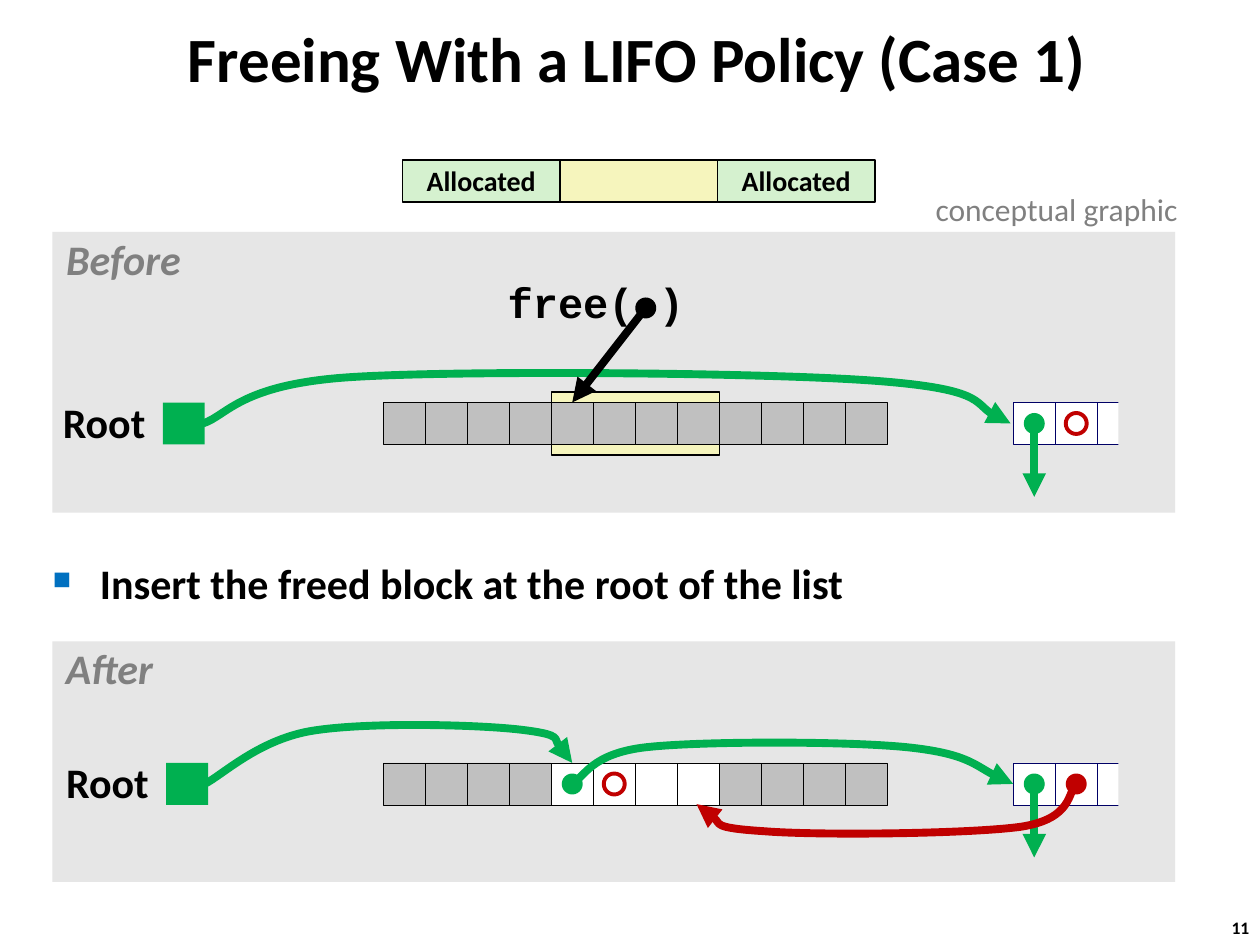
import pptx
import pptx.dml.color
import pptx.enum.shapes
import pptx.enum.text
import pptx.oxml
import pptx.oxml.ns
import pptx.util

Pt = pptx.util.Pt
ALIGN = pptx.enum.text.PP_ALIGN
ANCHOR = pptx.enum.text.MSO_ANCHOR
SHAPE = pptx.enum.shapes.MSO_SHAPE
STRAIGHT = pptx.enum.shapes.MSO_CONNECTOR.STRAIGHT
qn = pptx.oxml.ns.qn

BLACK, WHITE, GRAY, NAVY = "000000", "FFFFFF", "808080", "000066"
PANEL, USED, YELLOW, MINT = "E6E6E6", "C0C0C0", "F6F5BD", "D5F1CF"
GREEN, RED, BLUE = "00B050", "C00000", "0070C0"

CELL = 24                            # side of one memory word
DOT = 12                             # diameter of a pointer dot
HEAP_X, LIST_X = 189, 549            # from the left edge of a panel
FREED_X = HEAP_X + 4 * CELL
BOLD = {"name": "Calibri", "size": Pt(24), "bold": True}


def color(value):
    return pptx.dml.color.RGBColor.from_string(value)


def apply(target, values):
    for name, value in values.items():
        setattr(target, name, value)


def element(tag, **values):
    item = pptx.oxml.parse_xml(f"<a:{tag} {pptx.oxml.ns.nsdecls('a')}/>")
    for name, value in values.items():
        item.set(name, value)
    return item


def write(frame, text, font, hue, para_format, frame_format):
    apply(frame, frame_format)
    para = frame.paragraphs[0]
    apply(para, para_format)
    span = para.add_run()
    span.text = text
    apply(span.font, font)
    span.font.color.rgb = color(hue)
    return para


def add_label(page, box, text, font, hue=BLACK, inset=3.6, align=ALIGN.CENTER, spacing=0.9):
    label = page.shapes.add_textbox(*map(Pt, box))
    frame_format = {"word_wrap": False, "margin_left": Pt(inset), "margin_right": Pt(inset),
                    "margin_top": Pt(3.6), "margin_bottom": Pt(3.6)}
    return write(label.text_frame, text, font, hue,
                 {"alignment": align, "line_spacing": spacing}, frame_format)


def paint(shape, fill=None, line=None, width=0.25):
    shape.shadow.inherit = False
    if fill:
        shape.fill.solid()
        shape.fill.fore_color.rgb = color(fill)
    else:
        shape.fill.background()
    if line:
        shape.line.color.rgb = color(line)
        shape.line.width = Pt(width)
    else:
        shape.line.fill.background()
    return shape


def add_block(page, box, fill=None, line=None, width=0.25, kind=SHAPE.RECTANGLE):
    return paint(page.shapes.add_shape(kind, *map(Pt, box)), fill, line, width)


def add_dot(page, x, y, hue, hollow=False):
    """Pointer dot centred in the cell whose corner is x, y."""
    gap = (CELL - DOT) / 2
    box = (x + gap, y + gap, DOT, DOT)
    if hollow:
        add_block(page, box, None, hue, 2.25, SHAPE.OVAL)
    else:
        add_block(page, box, hue, kind=SHAPE.OVAL)


def add_head(shape):
    shape._element.spPr.find(qn("a:ln")).append(element("tailEnd", type="triangle"))


def add_arrow(page, start, end, hue):
    arrow = page.shapes.add_connector(STRAIGHT, *map(Pt, start + end))
    arrow.line.color.rgb = color(hue)
    arrow.line.width = Pt(4.5)
    add_head(arrow)
    arrow._element.spPr.append(element("effectLst"))


def add_curve(page, x, y, points, hue):
    """Arrow along cubic curves: a start, then two handles and an end for each."""
    placed = [(Pt(x + across), Pt(y + down)) for across, down in points]
    builder = page.shapes.build_freeform(*placed[0])
    builder.add_line_segments(placed[1:], close=False)
    curve = paint(builder.convert_to_shape(), None, hue, 4.5)
    lines = list(curve._element.iter(qn("a:lnTo")))
    for first in range(0, len(lines), 3):
        cubic = element("cubicBezTo")
        lines[first].addprevious(cubic)
        for line in lines[first:first + 3]:
            cubic.append(line[0])
            line.getparent().remove(line)
    add_head(curve)


def add_legend(page, box):
    left, top, width, height = box
    part = width / 3
    for index, (text, fill) in enumerate((("Allocated", MINT), ("", YELLOW), ("Allocated", MINT))):
        block = add_block(page, (left + index * part, top, part, height), fill, BLACK, 1)
        if text:
            write(block.text_frame, text, {**BOLD, "size": Pt(16)}, BLACK,
                  {"alignment": ALIGN.CENTER, "line_spacing": 0.98},
                  {"word_wrap": False, "vertical_anchor": ANCHOR.MIDDLE})


def add_panel(page, box, caption, caption_width, row, root_x, freed, previous_hollow):
    """Gray panel with root, heap and list; returns the left edge and row top."""
    left, top, width, height = box
    y = top + row
    add_block(page, box, PANEL)
    add_label(page, (left + 3.5, top + 0.5, caption_width, 34), caption, {**BOLD, "italic": True}, GRAY)
    # Root
    add_label(page, (left + root_x - 61, y - 4, 55, 34), "Root", BOLD)
    add_block(page, (left + root_x, y, CELL, CELL), GREEN)
    # Heap, with the block that is freed
    if not freed:
        add_block(page, (left + FREED_X, y - 6, 4 * CELL, 36), YELLOW, BLACK, 0.75)
    for index in range(12):
        fill = WHITE if freed and 4 <= index < 8 else USED
        add_block(page, (left + HEAP_X + index * CELL, y, CELL, CELL), fill, BLACK)
    # Free list, cut off at its right end
    for index in range(3):
        add_block(page, (left + LIST_X + index * CELL, y, CELL, CELL), WHITE, NAVY)
    add_block(page, (left + LIST_X + 2.5 * CELL, y - 6, CELL, 36), PANEL)
    add_dot(page, left + LIST_X, y, GREEN)
    middle = left + LIST_X + CELL / 2
    add_arrow(page, (middle, y + 12), (middle, y + 54), GREEN)
    add_dot(page, left + LIST_X + CELL, y, RED, previous_hollow)
    return left, y


def add_before(page, box):
    x, y = add_panel(page, box, "Before", 74, 97.5, 63, False, True)
    add_curve(page, x, y, [(86, 12), (100, 7.5), (107, -10.5), (171, -14.5), (234, -18.5),
                           (405.5, -17), (468, -12.5), (531, -8), (531, 7), (547.5, 12)], GREEN)
    # Call to free
    add_label(page, (x + 256, y - 72.5, 109, 34), "free( )", {**BOLD, "name": "Courier New"})
    add_dot(page, x + 327, y - 66, BLACK)
    add_arrow(page, (x + 339, y - 54), (x + 297, y), BLACK)


def add_after(page, box):
    x, y = add_panel(page, box, "After", 58, 69.5, 65, True, False)
    add_dot(page, x + FREED_X, y, GREEN)
    add_dot(page, x + FREED_X + CELL, y, RED, True)
    # Root to freed block, freed block to list, list back to freed block
    add_curve(page, x, y, [(87, 12), (97, 7), (117, -12.5), (146.5, -18), (176.5, -23.5),
                           (242, -22), (267.5, -19), (292.5, -16), (291, -4.5), (297, 0)], GREEN)
    add_curve(page, x, y, [(297, 12), (304, 8), (308, -5.5), (339.5, -9), (371, -12.5),
                           (453, -12.5), (488, -9), (522, -5.5), (536, 7.5), (549, 12)], GREEN)
    add_curve(page, x, y, [(585, 12.5), (580, 16), (583.5, 32), (553, 36.5), (523.5, 40.5),
                           (437.5, 41.5), (406.5, 39), (375.5, 37), (376, 27), (368, 23.5)], RED)


def add_title(page, box):
    title = page.shapes.title
    apply(title, dict(zip(("left", "top", "width", "height"), map(Pt, box))))
    write(title.text_frame, "Freeing With a LIFO Policy (Case 1)", {**BOLD, "size": Pt(36)}, BLACK,
          {"alignment": ALIGN.CENTER, "line_spacing": 0.87},
          {"vertical_anchor": ANCHOR.MIDDLE, "word_wrap": True})


def add_bullet(page, box):
    para = add_label(page, box, "Insert the freed block at the root of the list", BOLD,
                     inset=7.2, align=ALIGN.LEFT, spacing=0.95)
    para.space_before = Pt(4.8)
    settings = para._p.get_or_add_pPr()
    settings.set("marL", str(Pt(27)))
    settings.set("indent", str(-Pt(27)))
    bullet_color = element("buClr")
    bullet_color.append(element("srgbClr", val=BLUE))
    for item in (bullet_color, element("buSzPct", val="60000"), element("buChar", char="■")):
        settings.append(item)


def main():
    deck = pptx.Presentation()
    deck.slide_width, deck.slide_height = Pt(720), Pt(540)
    page = deck.slides.add_slide(deck.slide_layouts[5])
    add_title(page, (21, 5, 686, 62))
    add_before(page, (30, 132.5, 641.5, 160.5))
    add_bullet(page, (23, 317, 654.5, 44))
    add_after(page, (30, 366.5, 641.5, 137.5))
    add_legend(page, (230, 91.5, 270, 24))
    # Side note and page number
    plain = {"name": "Calibri", "size": Pt(18)}
    add_label(page, (525.5, 105, 156.5, 29), "conceptual graphic", plain, GRAY, 7.2, spacing=1.0)
    add_label(page, (695.5, 520.5, 26.5, 19.5), "11", {**BOLD, "size": Pt(10)}, BLACK, 7.2, spacing=1.0)
    deck.save("out.pptx")


if __name__ == "__main__":
    main()
